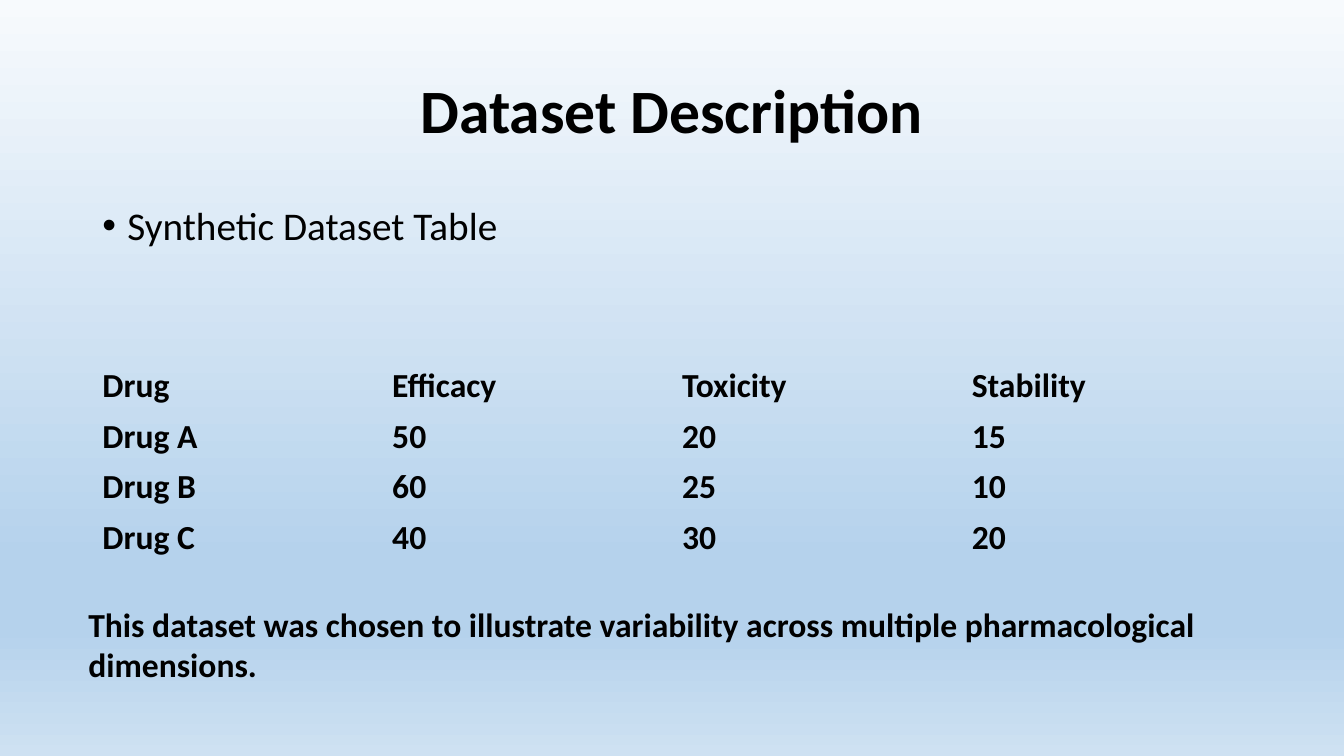
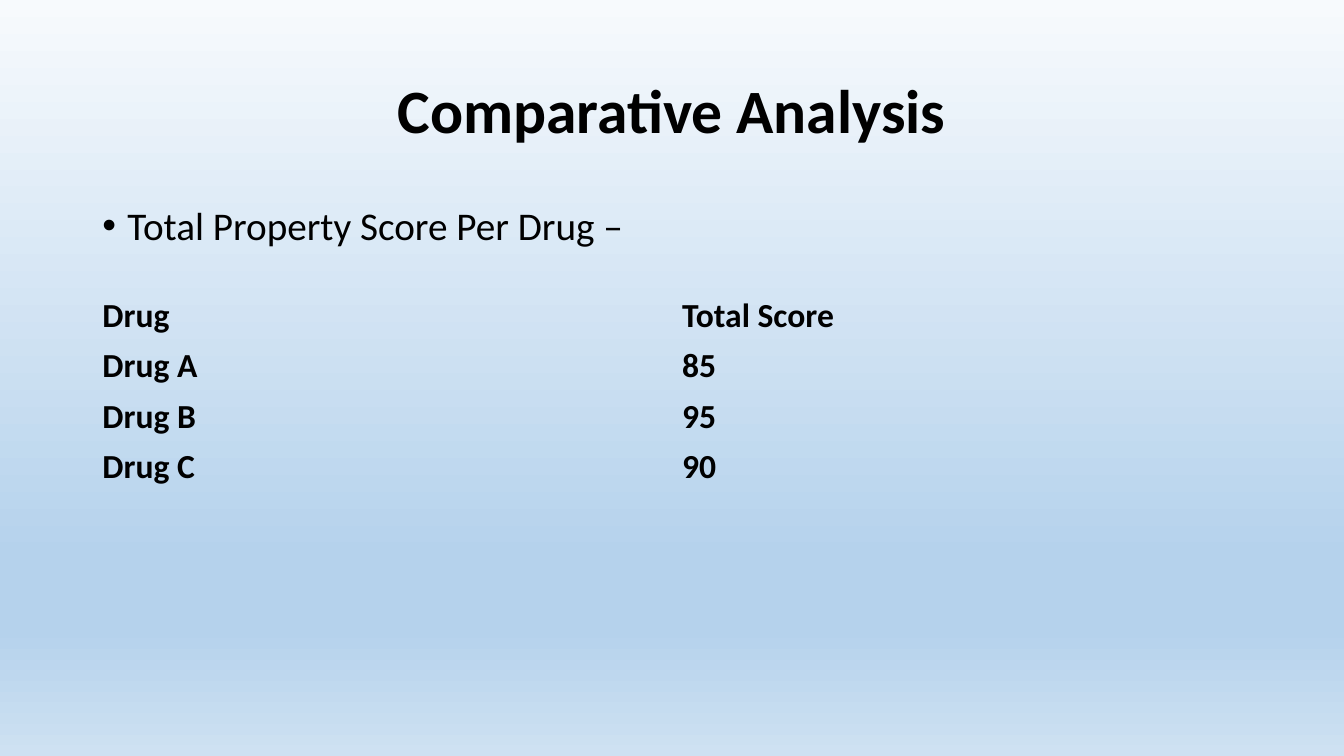
from copy import deepcopy

from lxml.etree import SubElement
from pptx import Presentation
from pptx.dml.color import RGBColor
from pptx.enum.text import MSO_ANCHOR, PP_ALIGN
from pptx.oxml.ns import qn
from pptx.util import Pt

FONT = "Calibri"
INK = "000000"
BACKGROUND = [(0, "F7FAFD"), (74, "B5D2EC"), (83, "B5D2EC"), (100, "CEE1F2")]
PLAIN_TABLE = "{2D5ABB26-0587-4C30-8999-92F81FD0307C}"

LEFT, WIDTH = 66, 828
ROW_HEIGHT = 36
TITLE = dict(size=Pt(44), bold=True)
BULLET = dict(size=Pt(28), bold=False)
STRONG = dict(size=Pt(24), bold=True)


def color(hex_value):
    return RGBColor.from_string(hex_value)


def set_background(master):
    """Give every slide the same top-to-bottom gradient."""
    fill = master.background.fill
    fill.gradient()
    fill.gradient_angle = 270
    stop_list = next(master.background._cSld.iter(qn("a:gsLst")))
    for _ in range(len(BACKGROUND) - len(fill.gradient_stops)):
        stop_list.append(deepcopy(stop_list[0]))
    for stop, (percent, hex_value) in zip(fill.gradient_stops, BACKGROUND):
        stop.position = percent / 100
        stop.color.rgb = color(hex_value)


def write(p, text, style):
    r = p.add_run()
    r.text = text
    r.font.name = FONT
    r.font.color.rgb = color(INK)
    for name, value in style.items():
        setattr(r.font, name, value)


def add_text(s, text, box, style, anchor=MSO_ANCHOR.TOP, **paragraph_format):
    tf = s.shapes.add_textbox(*map(Pt, box)).text_frame
    tf.word_wrap = True
    tf.vertical_anchor = anchor
    p = tf.paragraphs[0]
    for name, value in paragraph_format.items():
        setattr(p, name, value)
    write(p, text, style)
    return p


def add_title(s, text):
    add_text(s, text, (LEFT, 28.8, WIDTH, 104.4), TITLE, MSO_ANCHOR.MIDDLE,
             alignment=PP_ALIGN.CENTER, line_spacing=0.9)


def add_bullet(s, text):
    p = add_text(s, text, (LEFT, 144, WIDTH, 342.6), BULLET, line_spacing=0.9)
    pPr = p._p.get_or_add_pPr()
    pPr.set("marL", str(Pt(18)))
    pPr.set("indent", str(Pt(-18)))
    SubElement(pPr, qn("a:buFont")).set("typeface", "Arial")
    SubElement(pPr, qn("a:buChar")).set("char", "•")


def add_plain_table(s, top, rows):
    columns = len(rows[0])
    frame = s.shapes.add_table(len(rows), columns, Pt(LEFT), Pt(top),
                               Pt(WIDTH), Pt(ROW_HEIGHT * len(rows)))
    table = frame.table
    table.horz_banding = False
    next(table._tbl.iter(qn("a:tableStyleId"))).text = PLAIN_TABLE
    for i, row in enumerate(rows):
        for j, text in enumerate(row):
            cell = table.cell(i, j)
            cell.fill.background()
            cell.vertical_anchor = MSO_ANCHOR.MIDDLE
            write(cell.text_frame.paragraphs[0], text, STRONG)


def add_table_slide(prs, title, bullet, table_top, rows):
    s = prs.slides.add_slide(prs.slide_layouts[6])
    add_title(s, title)
    add_bullet(s, bullet)
    add_plain_table(s, table_top, rows)
    return s


def main():
    prs = Presentation()
    prs.slide_width, prs.slide_height = Pt(960), Pt(540)
    set_background(prs.slide_master)

    s = add_table_slide(prs, "Dataset Description", "Synthetic Dataset Table", 257.8, [
        ("Drug", "Efficacy", "Toxicity", "Stability"),
        ("Drug A", "50", "20", "15"),
        ("Drug B", "60", "25", "10"),
        ("Drug C", "40", "30", "20"),
    ])
    add_text(s, "This dataset was chosen to illustrate variability across multiple "
                "pharmacological dimensions.", (56, 427.6, 838, 65.4), STRONG)

    add_table_slide(prs, "Comparative Analysis", "Total Property Score Per Drug –", 207.4, [
        ("Drug", "Total Score"),
        ("Drug A", "85"),
        ("Drug B", "95"),
        ("Drug C", "90"),
    ])
    prs.save("out.pptx")


if __name__ == "__main__":
    main()
